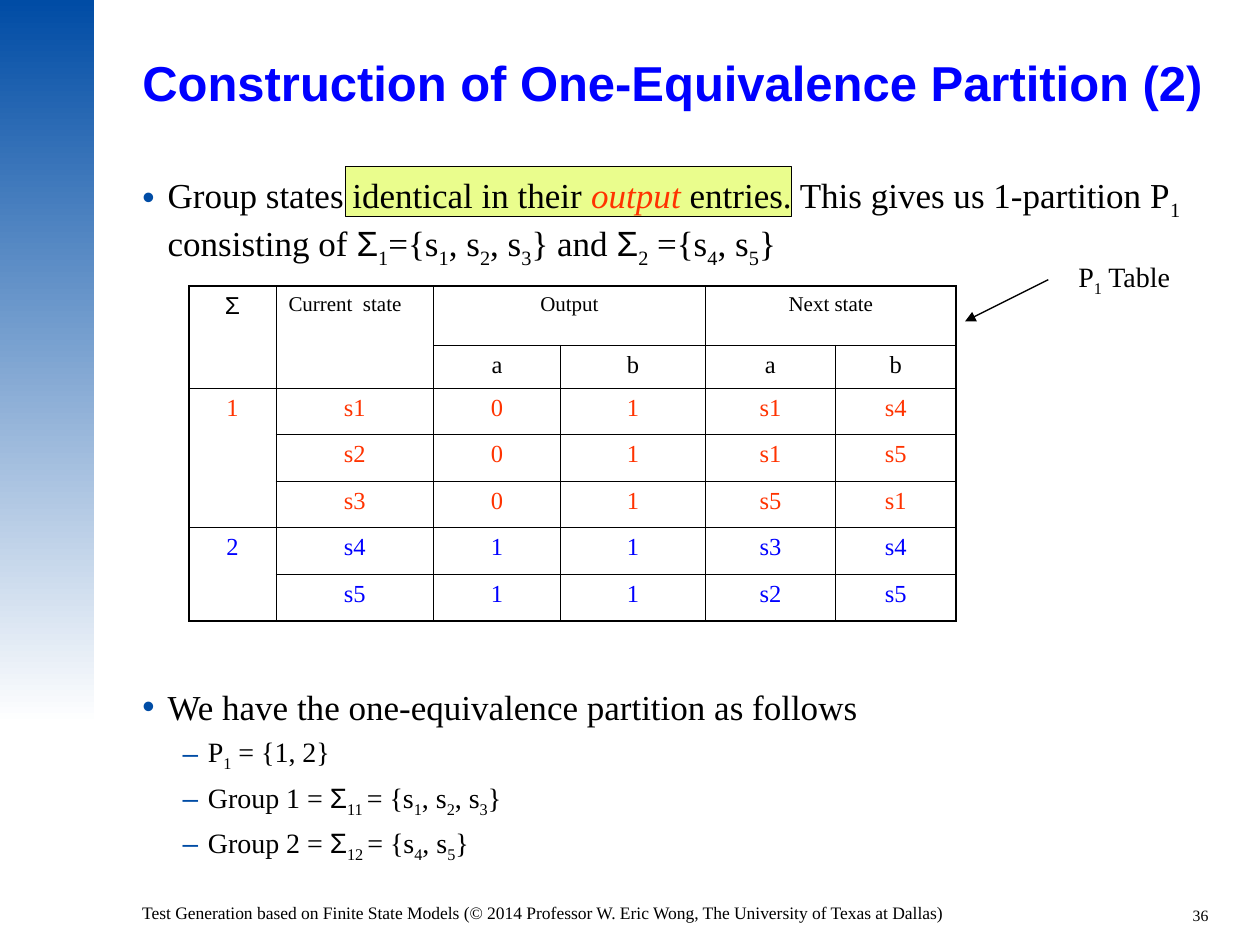
from lxml.etree import SubElement as Sub
from pptx import Presentation
from pptx.dml.color import RGBColor as RGB
from pptx.enum.shapes import MSO_CONNECTOR as Link, MSO_SHAPE as Shape
from pptx.enum.text import MSO_ANCHOR as Anchor, MSO_AUTO_SIZE as Auto, PP_ALIGN as Align
from pptx.oxml.ns import qn
from pptx.util import Inches, Pt

BLACK = RGB(0, 0, 0)
WHITE = RGB(255, 255, 255)
NAVY = RGB(0x00, 0x4C, 0xA5)
BLUE = RGB(0, 0, 255)
RED = RGB(0xFF, 0x33, 0x00)
LIME = RGB(0xEA, 0xFD, 0x8D)
SERIF, SANS = "Times New Roman", "Arial"
THICK, THIN = 1.08, 0.45
TEXT, LOW, SIGN, STRESS = range(4)
SIGMA = ("Σ", SIGN)

COLS = [0.69, 1.25, 1.01, 1.15, 1.03, 0.96]
ROWS = [0.47, 0.34] + [0.37] * 5
GRID = [
    ["Σ", "Current  state", "Output", "", "Next state", ""],
    ["", "", "a", "b", "a", "b"],
    ["1", "s1", "0", "1", "s1", "s4"],
    ["", "s2", "0", "1", "s1", "s5"],
    ["", "s3", "0", "1", "s5", "s1"],
    ["2", "s4", "1", "1", "s3", "s4"],
    ["", "s5", "1", "1", "s2", "s5"],
]
SPANS = {(0, 0): (2, 1), (0, 1): (2, 1), (0, 2): (1, 2), (0, 4): (1, 2),
         (2, 0): (3, 1), (5, 0): (2, 1)}


def place(shape, *box):
    shape.left, shape.top, shape.width, shape.height = map(Inches, box)


def style(run, size, color=BLACK, face=SERIF, bold=None):
    font = run.font
    font.size, font.name, font.bold = Pt(size), face, bold
    font.color.rgb = color


def write(para, parts, size):
    for text, kind in parts:
        run = para.add_run()
        run.text = text
        style(run, size, RED if kind == STRESS else BLACK, SANS if kind == SIGN else SERIF)
        if kind == STRESS:
            run.font.italic = True
        if kind == LOW:
            run.font._element.set("baseline", "-25000")


def states(lead, *nums):
    parts = []
    for i, num in enumerate(nums):
        parts += [(", s" if i else lead + "{s", TEXT), (num, LOW)]
    return parts


def bullet(para, parts, level, gap):
    mark, indent, size = [("•", 0.2, 20), ("–", 0.52, 16)][level]
    para.level = level
    para.space_before = Pt(gap)
    props = para._p.get_or_add_pPr()
    props.set("marL", str(Inches(indent)))
    props.set("indent", str(Inches(-0.2)))
    Sub(Sub(props, qn("a:buClr")), qn("a:srgbClr")).set("val", str(NAVY))
    Sub(props, qn("a:buChar")).set("char", mark)
    write(para, parts, size)


def label(slide, box, parts, size, align=Align.LEFT, wrap=True):
    shape = slide.shapes.add_textbox(*map(Inches, box))
    shape.text_frame.word_wrap = wrap
    para = shape.text_frame.paragraphs[0]
    para.alignment = align
    write(para, parts, size)


def block(slide, box, depth):
    shape = slide.shapes.add_shape(Shape.RECTANGLE, *map(Inches, box))
    shape.shadow.inherit = False
    slide.shapes._spTree.insert(depth, shape._element)
    return shape


def back(slide):
    bar = block(slide, (0, 0, 0.75, 5.75), 2)
    bar.fill.gradient()
    bar.fill.gradient_angle = 270
    for stop, color, spot in zip(bar.fill.gradient_stops, (NAVY, WHITE), (0, 1)):
        stop.color.rgb = color
        stop.position = spot
    bar.line.fill.background()
    mark = block(slide, (2.74, 1.32, 3.54, 0.4), 3)
    mark.fill.solid()
    mark.fill.fore_color.rgb = LIME
    mark.line.color.rgb = BLACK
    mark.line.width = Pt(0.75)


def frame(shape, anchor):
    area = shape.text_frame
    area.auto_size, area.word_wrap = Auto.NONE, True
    area.vertical_anchor = anchor
    area.margin_left = area.margin_right = area.margin_top = area.margin_bottom = 0
    return area


def head(slide):
    title = slide.shapes.title
    place(title, 1.13, 0.44, 8.49, 0.48)
    para = frame(title, Anchor.MIDDLE).paragraphs[0]
    para.alignment = Align.LEFT
    para.line_spacing = 0.9
    run = para.add_run()
    run.text = "Construction of One-Equivalence Partition (2)"
    style(run, 28, BLUE, SANS, True)


def body(slide):
    shape = slide.placeholders[1]
    place(shape, 1.13, 1.38, 8.51, 5.54)
    area = frame(shape, Anchor.TOP)
    intro = [("Group states identical in their ", TEXT), ("output", STRESS),
             (" entries. This gives us 1-partition P", TEXT), ("1", LOW),
             (" consisting of ", TEXT), SIGMA, ("1", LOW), *states("=", "1", "2", "3"),
             ("} and ", TEXT), SIGMA, ("2", LOW), *states(" =", "4", "5"), ("}", TEXT)]
    items = [
        (intro, 0, 0),
        ([("We have the one-equivalence partition as follows", TEXT)], 0, 238),
        ([("P", TEXT), ("1", LOW), (" = {1, 2}", TEXT)], 1, 4),
    ]
    for num, nums in (("1", "123"), ("2", "45")):
        parts = [(f"Group {num} = ", TEXT), SIGMA, (f"1{num} ", LOW),
                 *states("= ", *nums), ("}", TEXT)]
        items.append((parts, 1, 4))
    for i, item in enumerate(items):
        bullet(area.add_paragraph() if i else area.paragraphs[0], *item)


def border(cell, sides):
    props = cell._tc.get_or_add_tcPr()
    for side, outer in zip("LRTB", sides):
        line = Sub(props, qn("a:ln" + side), w=str(Pt(THICK if outer else THIN)))
        Sub(Sub(line, qn("a:solidFill")), qn("a:srgbClr")).set("val", str(BLACK))


def table(slide):
    rows, cols = len(ROWS), len(COLS)
    box = map(Inches, (1.5, 2.27, sum(COLS), sum(ROWS)))
    grid = slide.shapes.add_table(rows, cols, *box).table
    grid.first_row = grid.horz_banding = False
    for col, width in zip(grid.columns, COLS):
        col.width = Inches(width)
    for row, height in zip(grid.rows, ROWS):
        row.height = Inches(height)
    for (r, c), (high, wide) in SPANS.items():
        grid.cell(r, c).merge(grid.cell(r + high - 1, c + wide - 1))
    for r, line in enumerate(GRID):
        for c, text in enumerate(line):
            cell = grid.cell(r, c)
            if not cell.is_spanned:
                high, wide = SPANS.get((r, c), (1, 1))
                border(cell, (c == 0, c + wide == cols, r == 0, r + high == rows))
                para = cell.text_frame.paragraphs[0]
                para.alignment = Align.LEFT if (r, c) == (0, 1) else Align.CENTER
                run = para.add_run()
                run.text = text
                color = BLACK if r < 2 else RED if r < 5 else BLUE
                style(run, 12 if r == 0 and c else 14, color, SANS if text == "Σ" else SERIF)
            cell.fill.background()


def arrow(slide, *ends):
    line = slide.shapes.add_connector(Link.STRAIGHT, *map(Inches, ends))
    line.line.color.rgb = BLACK
    line.line.width = Pt(0.75)
    Sub(line.line._get_or_add_ln(), qn("a:headEnd")).set("type", "triangle")
    Sub(line._element.spPr, qn("a:effectLst"))


def main():
    deck = Presentation()
    deck.slide_width, deck.slide_height = Inches(10), Inches(7.5)
    slide = deck.slides.add_slide(deck.slide_layouts[1])
    back(slide)
    head(slide)
    body(slide)
    table(slide)
    arrow(slide, 7.66, 2.55, 8.32, 2.22)
    label(slide, (8.46, 2.01, 0.94, 0.41),
          [("P", TEXT), ("1", LOW), (" Table", TEXT)], 16, wrap=False)
    label(slide, (1.03, 7.11, 7.87, 0.28),
          [("Test Generation based on Finite State Models (© 2014 Professor W. Eric Wong, "
            "The University of Texas at Dallas)", TEXT)], 10)
    label(slide, (7.76, 7.14, 1.93, 0.21), [("36", TEXT)], 9, Align.RIGHT)
    deck.save("out.pptx")


if __name__ == "__main__":
    main()
